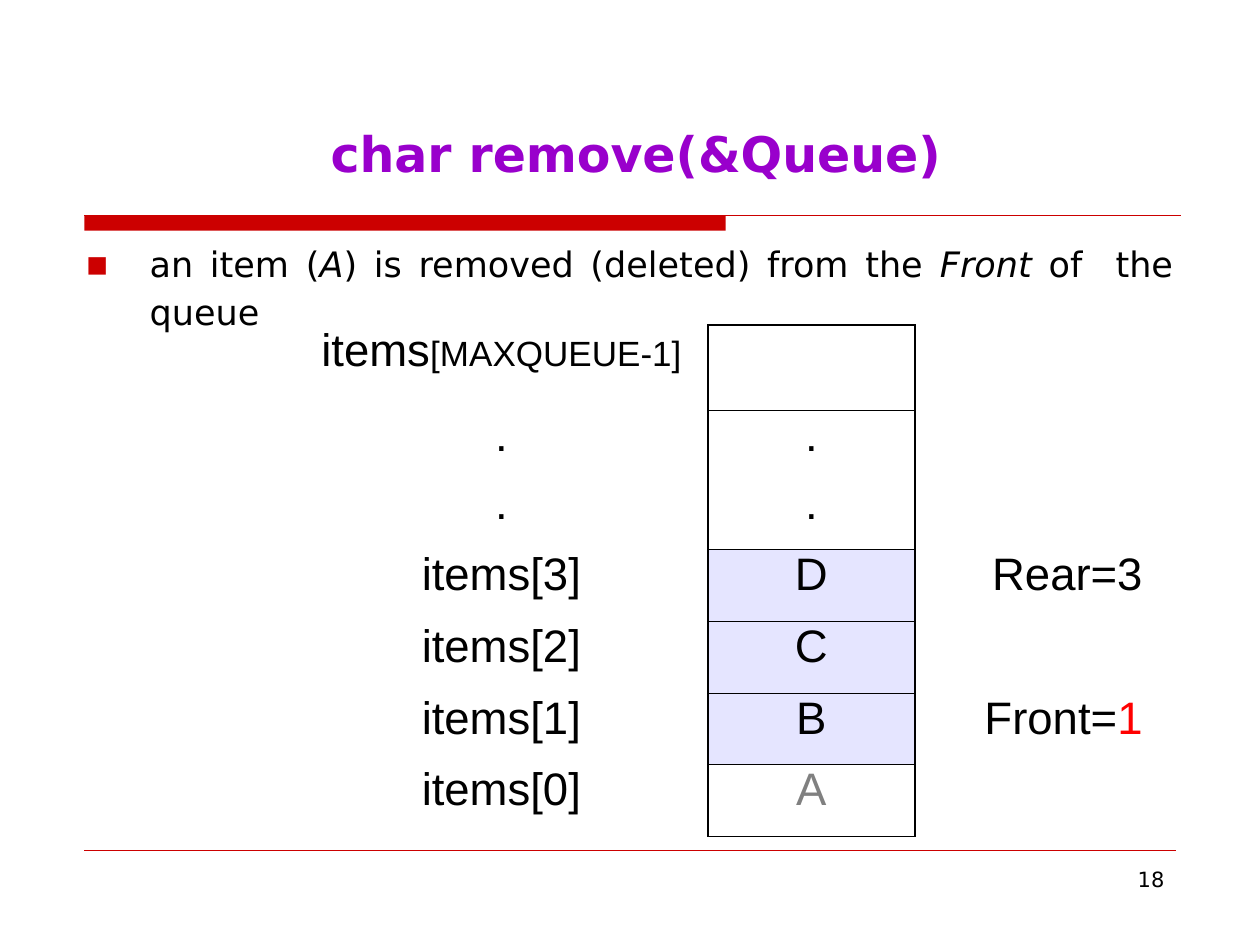
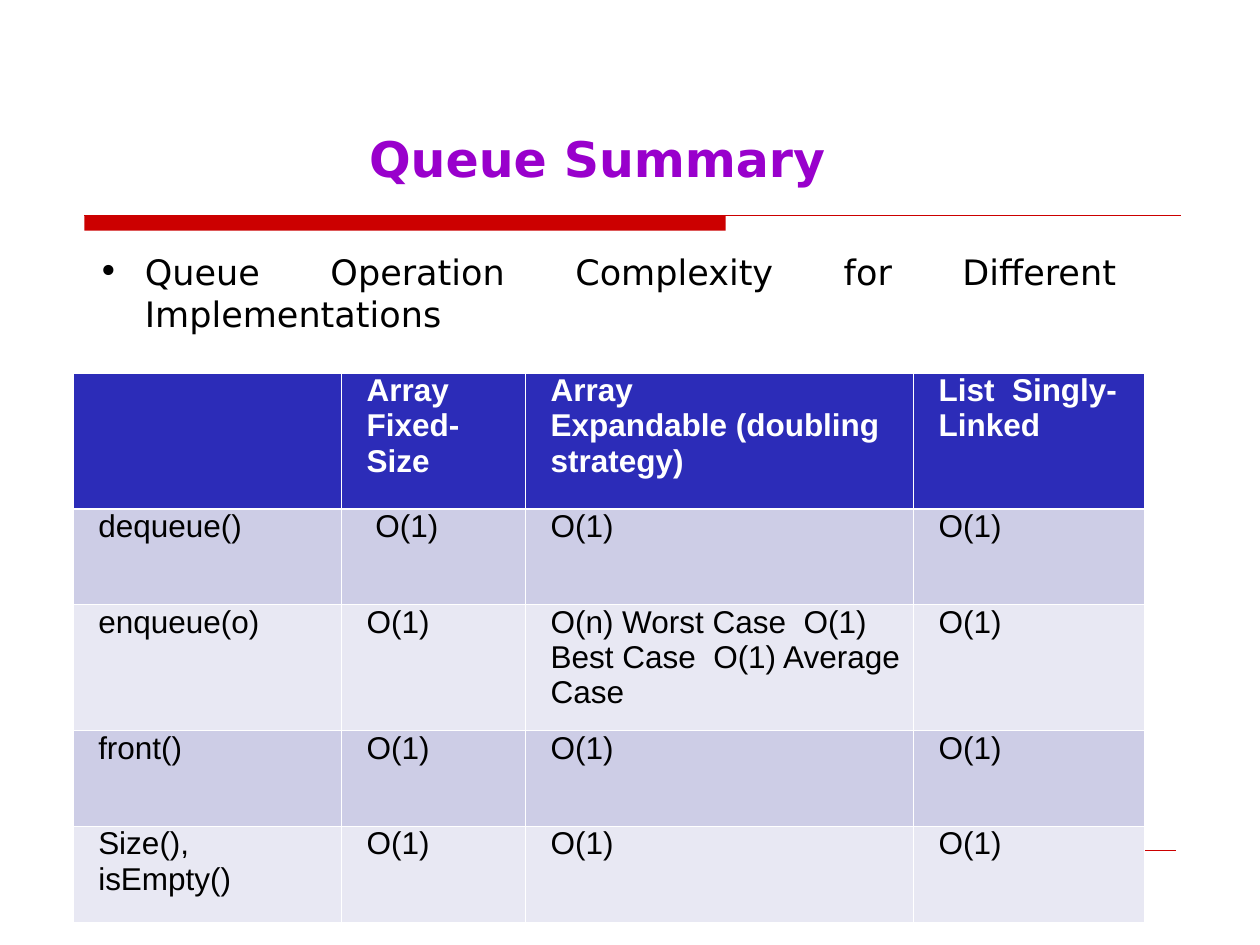
from lxml import etree
from pptx import Presentation
from pptx import util as u
from pptx.dml.color import RGBColor
from pptx.enum import shapes, text
from pptx.oxml.ns import qn

# Shared style
RED = RGBColor(0xCC, 0x00, 0x00)
PURPLE = RGBColor(0x99, 0x00, 0xCC)
BLACK = RGBColor(0x00, 0x00, 0x00)
WHITE = RGBColor(0xFF, 0xFF, 0xFF)
GREY = RGBColor(0x80, 0x80, 0x80)
BRIGHT_RED = RGBColor(0xFF, 0x00, 0x00)
QUEUED = RGBColor(0xE5, 0xE5, 0xFF)
HEADER = RGBColor(0x2C, 0x2C, 0xB8)
BANDS = (RGBColor(0xCD, 0xCD, 0xE6), RGBColor(0xE8, 0xE8, 0xF3))
TEXT_FONT, TABLE_FONT = "DejaVu Sans", "Arial"
SLIDE_W, SLIDE_H = u.Inches(10), u.Inches(7.5)
THICK, MEDIUM, THIN = 1.08, 1.47, 0.45
LEFT, RIGHT, CENTER, JUSTIFY = (text.PP_ALIGN.LEFT, text.PP_ALIGN.RIGHT,
                                text.PP_ALIGN.CENTER, text.PP_ALIGN.JUSTIFY)


def across(percent):
    return int(SLIDE_W * percent / 100)


def down(percent):
    return int(SLIDE_H * percent / 100)


def area(left, top, width, height):
    """Turn percentages of the slide into a position and size."""
    return across(left), down(top), across(width), down(height)


# Text
def write(p, parts, font, size, color=BLACK, bold=False, align=LEFT, before=0):
    """Fill a paragraph; a part is a string or (string, {size, color, italic})."""
    p.alignment = align
    p.space_before = u.Pt(before)
    for part in [parts] if isinstance(parts, str) else parts:
        words, special = (part, {}) if isinstance(part, str) else part
        r = p.add_run()
        r.text = words
        r.font.name = font
        r.font.size = u.Pt(special.get("size", size))
        r.font.color.rgb = special.get("color", color)
        r.font.bold = bold
        r.font.italic = special.get("italic", False)


def set_insets(tf, left, top, right, bottom):
    tf.margin_left, tf.margin_top = u.Inches(left), u.Inches(top)
    tf.margin_right, tf.margin_bottom = u.Inches(right), u.Inches(bottom)


def add_text(s, place, parts, size, insets=(0.1, 0.05, 0.1, 0.05), **style):
    tf = s.shapes.add_textbox(*place).text_frame
    tf.word_wrap = True
    set_insets(tf, *insets)
    write(tf.paragraphs[0], parts, TEXT_FONT, size, **style)
    return tf.paragraphs[0]


def set_bullet(p, mark, color, indent, hang):
    pPr = p._p.get_or_add_pPr()
    pPr.set("marL", str(u.Inches(indent)))
    pPr.set("indent", str(-u.Inches(hang)))
    clr = etree.SubElement(pPr, qn("a:buClr"))
    etree.SubElement(clr, qn("a:srgbClr"), val=str(color))
    etree.SubElement(pPr, qn("a:buFont"), typeface=TEXT_FONT)
    etree.SubElement(pPr, qn("a:buChar"), char=mark)


# Slide frame
def add_rule(s, left, right, top, width):
    line = s.shapes.add_connector(shapes.MSO_CONNECTOR.STRAIGHT, across(left),
                                  down(top), across(right), down(top))
    line.line.color.rgb = RED
    line.line.width = u.Pt(width)
    etree.SubElement(line._element.spPr, qn("a:effectLst"))


def add_slide(prs, title, place, align, insets):
    s = prs.slides.add_slide(prs.slide_layouts[5])
    band = s.shapes.add_shape(shapes.MSO_SHAPE.RECTANGLE,
                              *area(6.7, 22.8, 50.9, 1.6))
    band.shadow.inherit = False
    band.fill.solid()
    band.fill.fore_color.rgb = RED
    band.line.fill.background()
    add_rule(s, 6.7, 93.7, 22.8, 0.75)
    add_rule(s, 6.7, 93.3, 90, 0.25)

    sp = s.shapes.title
    sp.left, sp.top, sp.width, sp.height = place
    tf = sp.text_frame
    tf.auto_size = text.MSO_AUTO_SIZE.NONE
    tf.vertical_anchor = text.MSO_ANCHOR.BOTTOM
    set_insets(tf, *insets)
    write(tf.paragraphs[0], title, TEXT_FONT, 28, PURPLE, True, align)
    return s


# Tables
def add_grid(s, left, top, cols, rows):
    table = s.shapes.add_table(len(rows), len(cols), *area(
        left, top, sum(cols), sum(rows))).table
    table.first_row = table.horz_banding = False
    for col, width in zip(table.columns, cols):
        col.width = across(width)
    for row, height in zip(table.rows, rows):
        row.height = down(height)
    return table


def style_cell(cell, fill, color, **widths):
    """Draw the borders named L, R, T, B with their widths; hide the others."""
    cell.margin_top = cell.margin_bottom = 0
    tcPr = cell._tc.get_or_add_tcPr()
    for side in "LRTB":
        ln = etree.SubElement(tcPr, qn("a:ln" + side))
        if side in widths:
            ln.set("w", str(u.Pt(widths[side])))
            solid = etree.SubElement(ln, qn("a:solidFill"))
            etree.SubElement(solid, qn("a:srgbClr"), val=str(color))
        else:
            etree.SubElement(ln, qn("a:noFill"))
    if fill is None:
        cell.fill.background()
    else:
        cell.fill.solid()
        cell.fill.fore_color.rgb = fill


def add_queue_table(s, rows):
    heights = [9.07, 7.2, 7.47] + [7.6] * 4
    table = add_grid(s, 23.4, 34.4, (32.8, 16.4, 19.1), heights)
    last = len(rows) - 1
    for i, row in enumerate(rows):
        for j, parts in enumerate(row):
            cell = table.cell(i, j)
            if j == 1:
                edges = {"L": THICK, "R": THICK}
                if i != 2:  # the two dotted rows share one box
                    edges["T"] = THIN if i else THICK
                if i != 1:
                    edges["B"] = THICK if i == last else THIN
                fill = QUEUED if 3 <= i < last else None
            else:
                edges = {"R" if j == 0 else "L": THICK}
                fill = None
            style_cell(cell, fill, BLACK, **edges)
            if parts:
                write(cell.text_frame.paragraphs[0], parts, TABLE_FONT, 26,
                      align=RIGHT if j == 2 else CENTER, before=3)


def add_summary_table(s, rows):
    table = add_grid(s, 5.8, 39.47, (21.3, 14.6, 30.8, 18.3),
                     (14.4, 10.13, 13.33, 10.13, 10.13))
    for i, row in enumerate(rows):
        for j, lines in enumerate(row):
            cell = table.cell(i, j)
            style_cell(cell, BANDS[(i - 1) % 2] if i else HEADER, WHITE,
                       L=THIN, R=THIN, T=MEDIUM if i == 1 else THIN,
                       B=THIN if i else MEDIUM)
            tf = cell.text_frame
            for k, line in enumerate(lines.split("\n") if lines else []):
                p = tf.add_paragraph() if k else tf.paragraphs[0]
                write(p, line, TABLE_FONT, 18, BLACK if i else WHITE,
                      bold=i == 0, before=0 if k else 3.2)
                indent = 0.17 if (i, j) == (1, 1) else 0.1
                p._p.get_or_add_pPr().set("marL", str(u.Inches(indent)))


# Slides
def build_remove(prs):
    s = add_slide(prs, "char remove(&Queue)", area(6.7, 10, 87.5, 10),
                  CENTER, (0.1, 0.05, 0.1, 0.05))
    italic = {"italic": True}
    p = add_text(s, area(5.8, 24.4, 88.3, 62.27),
                 ["an item (", ("A", italic), ") is removed (deleted) from the ",
                  ("Front ", italic), "of  the queue"], 20, align=JUSTIFY)
    p.line_spacing = 1.14
    set_bullet(p, "▪", RED, 0.51, 0.51)
    add_text(s, area(71.7, 91.07, 21.7, 6.93), "18", 12, align=RIGHT)
    add_queue_table(s, [
        (["items", ("[MAXQUEUE-1]", {"size": 20})], "", ""),
        (".", ".", ""),
        (".", ".", ""),
        ("items[3]", "D", "Rear=3"),
        ("items[2]", "C", ""),
        ("items[1]", "B", ["Front=", ("1", {"color": BRIGHT_RED})]),
        ("items[0]", [("A", {"color": GREY})], ""),
    ])


def build_summary(prs):
    flush = (0, 0.01, 0, 0)
    s = add_slide(prs, "Queue Summary", area(29.3, 13.33, 41.5, 6.53),
                  LEFT, flush)
    p = add_text(s, area(7.6, 26.4, 86.6, 4.67),
                 "Queue Operation Complexity for Different  Implementations",
                 20, flush, align=JUSTIFY, before=1)
    set_bullet(p, "•", BLACK, 0.39, 0.37)
    add_summary_table(s, [
        ("", "Array\nFixed-Size", "Array\nExpandable (doubling\nstrategy)",
         "List  Singly-  Linked"),
        ("dequeue()", "O(1)", "O(1)", "O(1)"),
        ("enqueue(o)", "O(1)",
         "O(n) Worst Case  O(1) Best Case  O(1) Average Case", "O(1)"),
        ("front()", "O(1)", "O(1)", "O(1)"),
        ("Size(), isEmpty()", "O(1)", "O(1)", "O(1)"),
    ])


def main():
    prs = Presentation()
    prs.slide_width, prs.slide_height = SLIDE_W, SLIDE_H
    build_remove(prs)
    build_summary(prs)
    prs.save("out.pptx")


if __name__ == "__main__":
    main()
